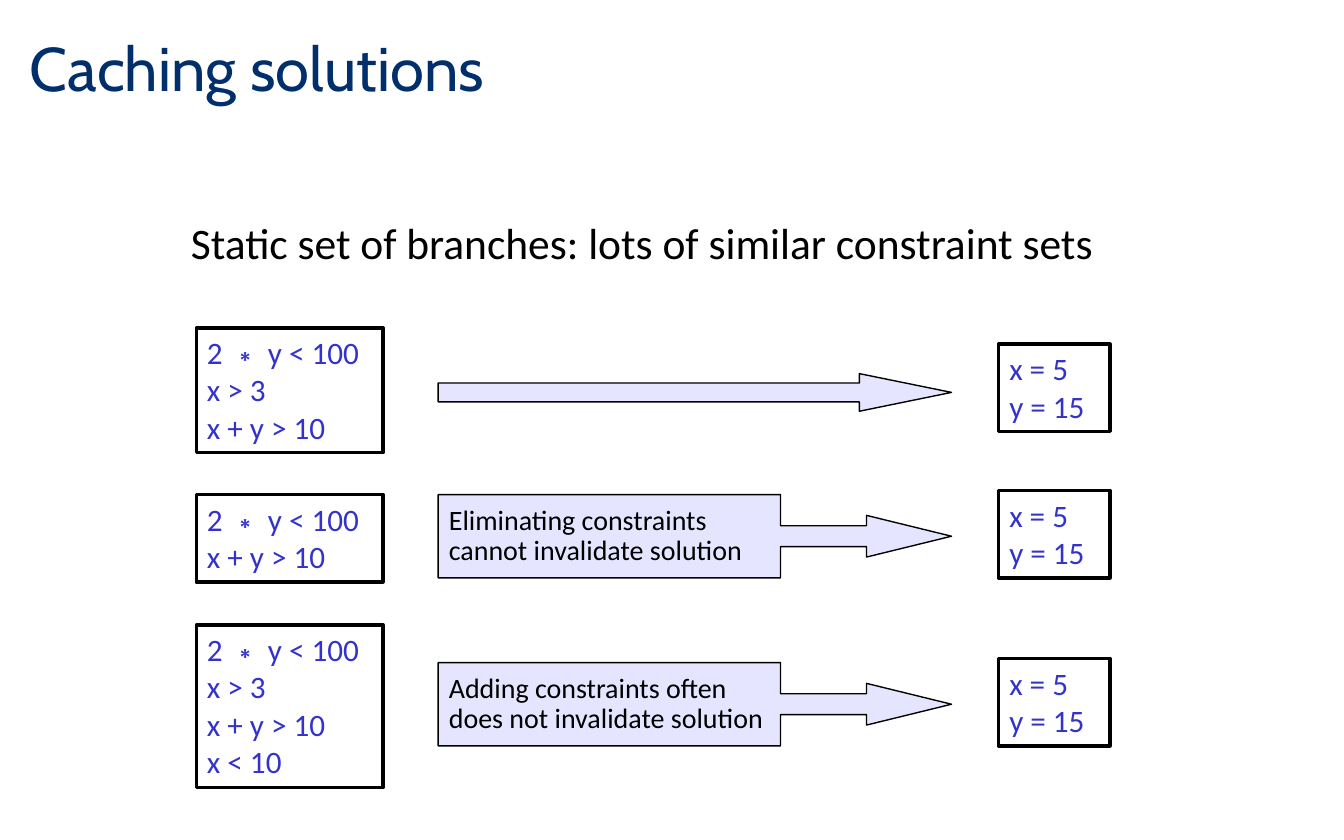
from lxml.etree import SubElement
from pptx import Presentation
from pptx.dml.color import RGBColor
from pptx.enum.shapes import MSO_SHAPE as Shape
from pptx.enum.text import MSO_ANCHOR as Anchor, MSO_AUTO_SIZE as AutoSize, PP_ALIGN as Align
from pptx.oxml.ns import qn
from pptx.util import Inches, Pt

NAVY = RGBColor(0x00, 0x2F, 0x6C)
BLACK = RGBColor(0x00, 0x00, 0x00)
BLUE = RGBColor(0x33, 0x33, 0xCC)
LAVENDER = RGBColor(0xCC, 0xCC, 0xFF)

# Grid of 100 columns and 62.5 rows
COLUMNS, ROWS = 100, 62.5
CONSTRAINT_COL, ARROW_COL, SOLUTION_COL = 14.6, 32.6, 74.3
ARROW_WIDTH = 38.2

PRODUCT = "2 ∗ y < 100"
SOLUTION = ["x = 5", "y = 15"]

# Constraints and their row, caption, arrow row, solution row
CASES = [
    ([PRODUCT, "x > 3", "x + y > 10"], 24.4, [], 27.8, 25.6),
    ([PRODUCT, "x + y > 10"], 36.8,
     ["Eliminating constraints", "cannot invalidate solution"], 36.8, 36.5),
    ([PRODUCT, "x > 3", "x + y > 10", "x < 10"], 46.5,
     ["Adding constraints often", "does not invalidate solution"], 49.3, 49),
]


class CachingSlide:
    title_font = {"name": "Cabin", "size": Pt(33), "color": NAVY}
    lead_font = {"name": "Calibri", "size": Pt(23.3), "color": BLACK}
    formula_font = {"name": "Calibri", "size": Pt(16.7), "color": BLUE}
    caption_font = {"name": "Calibri", "size": Pt(15), "color": BLACK}
    operator_font = "Arial"

    def __init__(self, deck):
        self.slide = deck.slides.add_slide(deck.slide_layouts[1])
        self.column = deck.slide_width / COLUMNS
        self.row = deck.slide_height / ROWS

    def area(self, col, row, width, height):
        return [round(n * unit) for n, unit in
                zip((col, row, width, height), (self.column, self.row) * 2)]

    def add_lines(self, frame, lines, style, spacing=1.0):
        for index, line in enumerate(lines):
            paragraph = frame.paragraphs[0] if index == 0 else frame.add_paragraph()
            layout = {"alignment": Align.LEFT, "line_spacing": spacing,
                      "space_before": Pt(0)}
            for key, value in layout.items():
                setattr(paragraph, key, value)
            before, operator, after = line.partition("∗")
            for part in filter(None, (before, operator, after)):
                run = paragraph.add_run()
                run.text = part
                for key, value in style.items():
                    if key == "color":
                        run.font.color.rgb = value
                    else:
                        setattr(run.font, key, value)
                if part == "∗":
                    run.font.name = self.operator_font

    def placeholder(self, index, text, area, style, anchor):
        holder = self.slide.placeholders[index]
        for key, value in zip(("left", "top", "width", "height"), self.area(*area)):
            setattr(holder, key, value)
        frame = holder.text_frame
        settings = {"vertical_anchor": anchor, "auto_size": AutoSize.NONE,
                    "word_wrap": True}
        for key, value in settings.items():
            setattr(frame, key, value)
        self.add_lines(frame, [text], style, 0.9)
        return frame.paragraphs[0]

    def title(self, text):
        self.placeholder(0, text, (1.2, 1, 85.2, 8.6), self.title_font, Anchor.MIDDLE)

    def lead(self, text):
        paragraph = self.placeholder(1, text, (13.2, 16, 73.6, 6.2),
                                     self.lead_font, Anchor.TOP)
        properties = paragraph._p.get_or_add_pPr()
        properties.set("marL", str(Inches(0.31)))
        properties.set("indent", str(-Inches(0.31)))
        SubElement(properties, qn("a:buNone"))

    def outline(self, kind, area, line_width, **settings):
        shape = self.slide.shapes.add_shape(kind, *self.area(*area))
        shape.shadow.inherit = False
        shape.line.color.rgb = BLACK
        shape.line.width = Pt(line_width)
        settings |= {"margin_left": Inches(0.08), "margin_right": Inches(0.08),
                     "margin_top": Inches(0.04), "margin_bottom": Inches(0.04)}
        for key, value in settings.items():
            setattr(shape.text_frame, key, value)
        return shape

    def formula_box(self, col, row, width, lines):
        height = 2.8 * len(lines) + 0.9
        box = self.outline(Shape.RECTANGLE, (col, row, width, height), 1.75,
                           vertical_anchor=Anchor.TOP, word_wrap=True,
                           auto_size=AutoSize.SHAPE_TO_FIT_TEXT)
        box.fill.background()
        self.add_lines(box.text_frame, lines, self.formula_font)

    def arrow(self, row, caption):
        if caption:
            kind, height, shares = Shape.RIGHT_ARROW_CALLOUT, 6.2, (0.25, 0.25, 1.02, 0.667)
        else:
            kind, height, shares = Shape.RIGHT_ARROW, 2.8, (0.5, 2.45)
        arrow = self.outline(kind, (ARROW_COL, row, ARROW_WIDTH, height), 0.75,
                             vertical_anchor=Anchor.MIDDLE, word_wrap=False)
        for index, share in enumerate(shares):
            arrow.adjustments[index] = share
        arrow.fill.solid()
        arrow.fill.fore_color.rgb = LAVENDER
        # Half transparent fill
        color = arrow._element.spPr.find(qn("a:solidFill")).find(qn("a:srgbClr"))
        SubElement(color, qn("a:alpha")).set("val", "50000")
        self.add_lines(arrow.text_frame, caption, self.caption_font, 0.9)


def main():
    deck = Presentation()
    deck.slide_width, deck.slide_height = Inches(10), Inches(6.25)
    page = CachingSlide(deck)

    # Heading and lead sentence
    page.title("Caching solutions")
    page.lead("Static set of branches: lots of similar constraint sets")

    # One line per case: constraints, arrow, solution
    for constraints, constraint_row, caption, arrow_row, solution_row in CASES:
        page.formula_box(CONSTRAINT_COL, constraint_row, 13.9, constraints)
        page.arrow(arrow_row, caption)
        page.formula_box(SOLUTION_COL, solution_row, 8.3, SOLUTION)

    deck.save("out.pptx")


if __name__ == "__main__":
    main()
